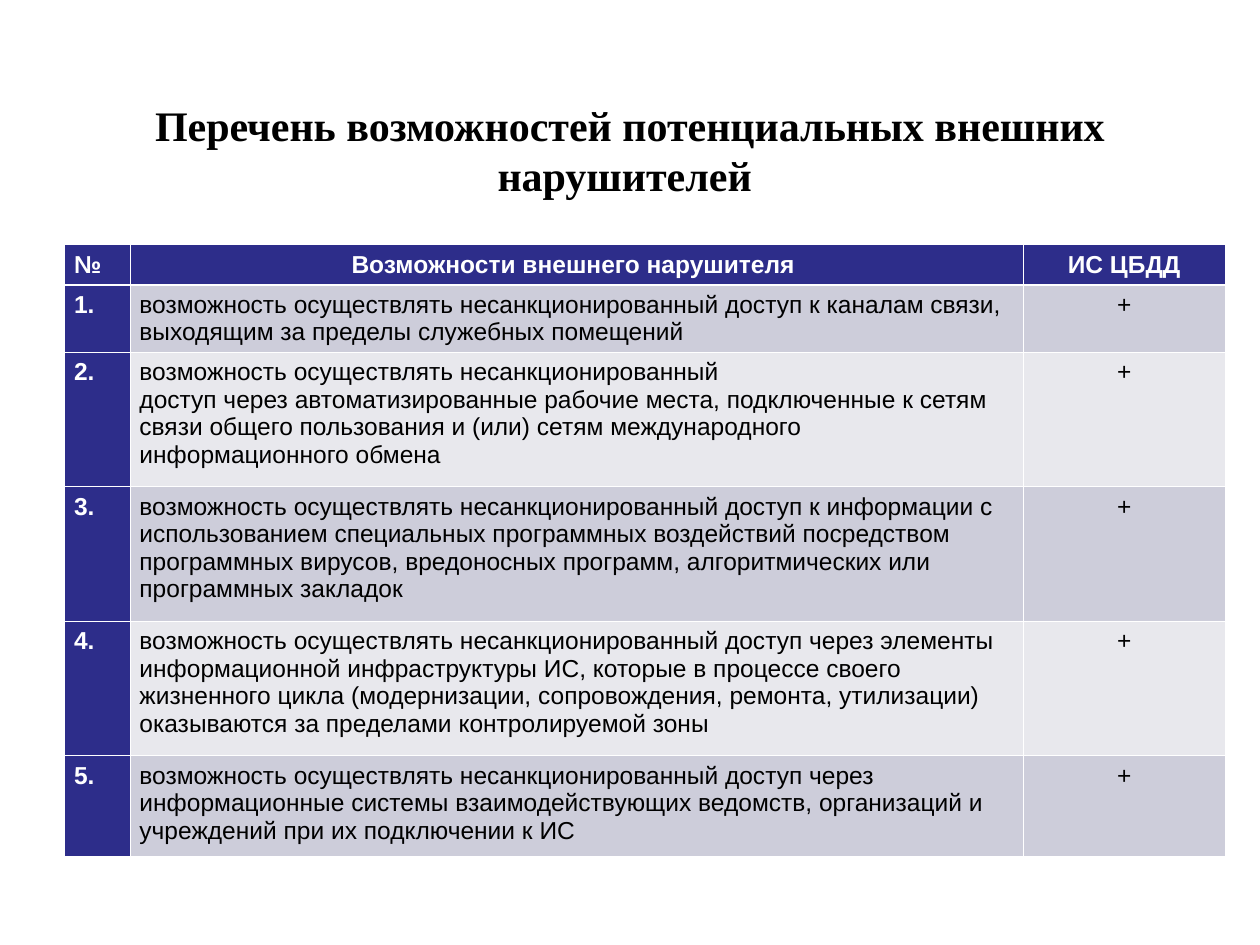
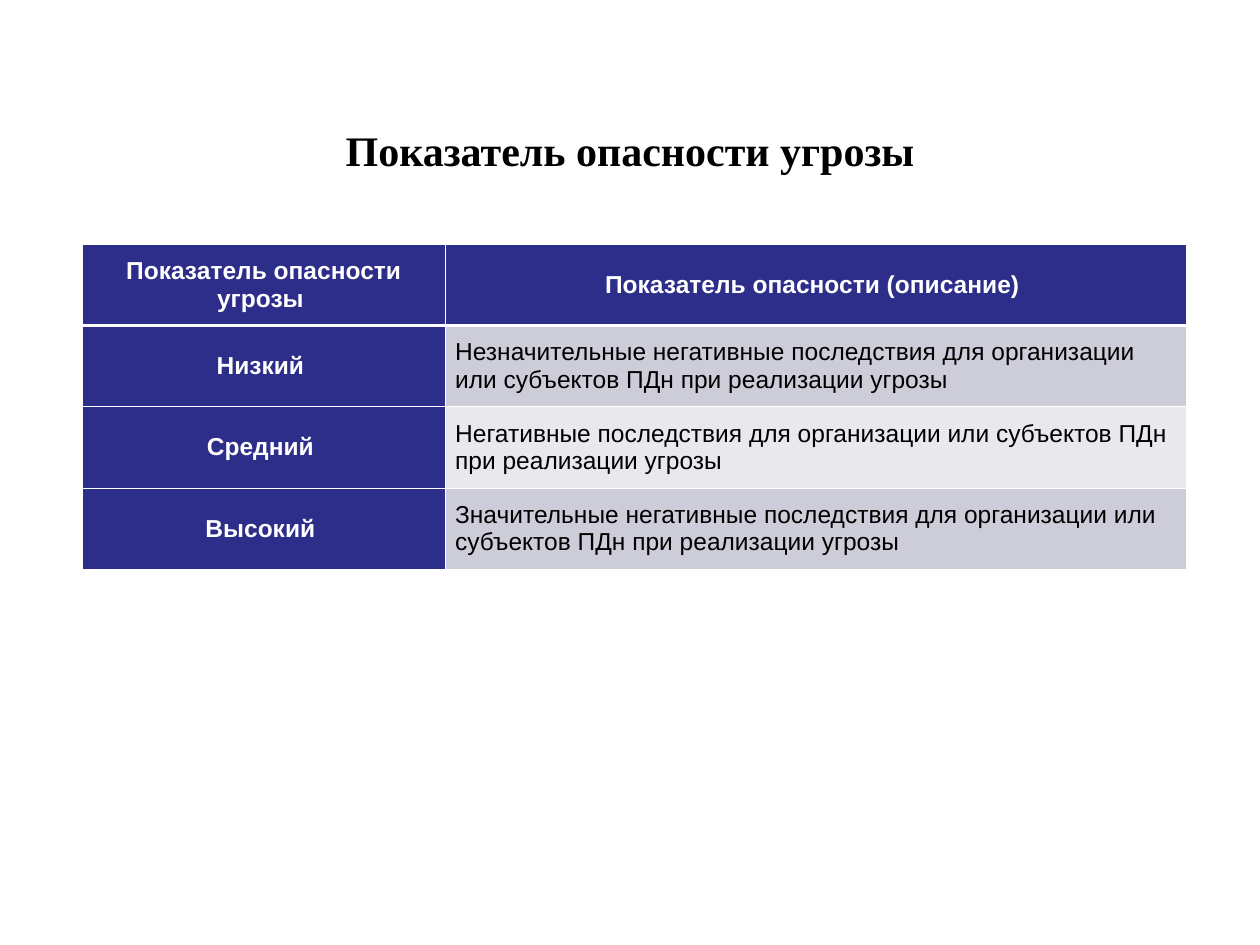
"""Build two slides on intruder capabilities and threat severity."""
import dataclasses

import pptx
import pptx.dml.color
import pptx.enum.text
import pptx.oxml
import pptx.oxml.ns
import pptx.presentation
import pptx.table
import pptx.text.text
import pptx.util

Pt = pptx.util.Pt
PP_ALIGN = pptx.enum.text.PP_ALIGN
MSO_ANCHOR = pptx.enum.text.MSO_ANCHOR

HEADER_FILL = "2D2D8A"
BAND_FILLS = ("CDCDDA", "E8E8ED")
WHITE = "FFFFFF"
BLACK = "000000"
THIN, THICK = 0.45, 1.47
TABLE_TOP = 139.7


@dataclasses.dataclass(frozen=True)
class TableSlide:
    title: str
    left: float
    col_widths: tuple[float, ...]
    row_heights: tuple[float, ...]
    rows: tuple[tuple[str, ...], ...]
    centred_cols: tuple[int, ...]
    anchor: MSO_ANCHOR


CAPABILITIES = (
    "возможность осуществлять несанкционированный доступ к каналам связи, "
    "выходящим за пределы служебных помещений",
    "возможность осуществлять несанкционированный\n"
    "доступ через автоматизированные рабочие места, подключенные к сетям связи "
    "общего пользования и (или) сетям международного информационного обмена",
    "возможность осуществлять несанкционированный доступ к информации с "
    "использованием специальных программных воздействий посредством программных "
    "вирусов, вредоносных программ, алгоритмических или программных закладок",
    "возможность осуществлять несанкционированный доступ через элементы "
    "информационной инфраструктуры ИС, которые в процессе своего жизненного цикла "
    "(модернизации, сопровождения, ремонта, утилизации) оказываются за пределами "
    "контролируемой зоны",
    "возможность осуществлять несанкционированный доступ через информационные "
    "системы взаимодействующих ведомств, организаций и учреждений при их "
    "подключении к ИС",
)

SLIDES = (
    TableSlide(
        title="Перечень возможностей потенциальных внешних нарушителей ",
        left=36.9,
        col_widths=(37.4, 510.5, 115.2),
        row_heights=(19.5, 38.4, 76.8, 76.8, 76.8, 57.6),
        rows=(
            ("№", "Возможности внешнего нарушителя ", "ИС ЦБДД"),
            *((f"{n}.", text, "+") for n, text in enumerate(CAPABILITIES, 1)),
        ),
        centred_cols=(2,),
        anchor=MSO_ANCHOR.TOP,
    ),
    TableSlide(
        title="Показатель опасности угрозы",
        left=46.8,
        col_widths=(207.9, 423),
        row_heights=(46.4,) * 4,
        rows=(
            ("Показатель опасности угрозы ", "Показатель опасности (описание) "),
            ("Низкий ", "Незначительные негативные последствия для организации "
             "или субъектов ПДн при реализации угрозы"),
            ("Средний ", "Негативные последствия для организации или субъектов "
             "ПДн при реализации угрозы"),
            ("Высокий ", "Значительные негативные последствия для организации "
             "или субъектов ПДн при реализации угрозы"),
        ),
        centred_cols=(0,),
        anchor=MSO_ANCHOR.MIDDLE,
    ),
)


def rgb(value: str) -> pptx.dml.color.RGBColor:
    return pptx.dml.color.RGBColor.from_string(value)


def set_font(p: pptx.text.text._Paragraph, name: str, size: float,
             color: str, bold: bool) -> None:
    p.font.name = name
    p.font.size = Pt(size)
    p.font.bold = bold
    p.font.color.rgb = rgb(color)


def add_borders(cell: pptx.table._Cell, top: float, bottom: float) -> None:
    tc_pr = cell._tc.get_or_add_tcPr()
    for side, width in (("L", THIN), ("R", THIN), ("T", top), ("B", bottom)):
        tc_pr.append(pptx.oxml.parse_xml(
            f'<a:ln{side} {pptx.oxml.ns.nsdecls("a")} w="{Pt(width)}">'
            f'<a:solidFill><a:srgbClr val="{WHITE}"/></a:solidFill></a:ln{side}>'))


def style_cell(cell: pptx.table._Cell, row: int, col: int, spec: TableSlide) -> None:
    is_header = row == 0
    is_dark = is_header or col == 0
    add_borders(cell, THICK if row == 1 else THIN, THICK if is_header else THIN)
    cell.fill.solid()
    cell.fill.fore_color.rgb = rgb(HEADER_FILL if is_dark else BAND_FILLS[(row - 1) % 2])
    cell.margin_left = cell.margin_right = Pt(5.4)
    cell.margin_top = cell.margin_bottom = Pt(3.6)
    cell.vertical_anchor = spec.anchor
    centred = col in spec.centred_cols or (is_header and col > 0)
    for p in cell.text_frame.paragraphs:
        p.alignment = PP_ALIGN.CENTER if centred else PP_ALIGN.LEFT
        set_font(p, "Arial", 14, WHITE if is_dark else BLACK, is_dark)


def add_table_slide(prs: pptx.presentation.Presentation, spec: TableSlide) -> None:
    s = prs.slides.add_slide(prs.slide_layouts[5])
    title = s.shapes.title
    title.left, title.top, title.width, title.height = Pt(36), Pt(43.5), Pt(648), Pt(84)
    tf = title.text_frame
    tf.text = spec.title
    tf.auto_size = pptx.enum.text.MSO_AUTO_SIZE.NONE
    tf.vertical_anchor = MSO_ANCHOR.MIDDLE
    p = tf.paragraphs[0]
    p.alignment = PP_ALIGN.CENTER
    set_font(p, "Times New Roman", 24, BLACK, True)

    table = s.shapes.add_table(
        len(spec.rows), len(spec.col_widths), Pt(spec.left), Pt(TABLE_TOP),
        Pt(sum(spec.col_widths)), Pt(sum(spec.row_heights))).table
    for column, width in zip(table.columns, spec.col_widths):
        column.width = Pt(width)
    for row, height in zip(table.rows, spec.row_heights):
        row.height = Pt(height)
    for i, texts in enumerate(spec.rows):
        for j, text in enumerate(texts):
            cell = table.cell(i, j)
            cell.text = text
            style_cell(cell, i, j, spec)


def main() -> None:
    prs = pptx.Presentation()
    prs.slide_width, prs.slide_height = Pt(720), Pt(540)
    for spec in SLIDES:
        add_table_slide(prs, spec)
    prs.save("out.pptx")


if __name__ == "__main__":
    main()
